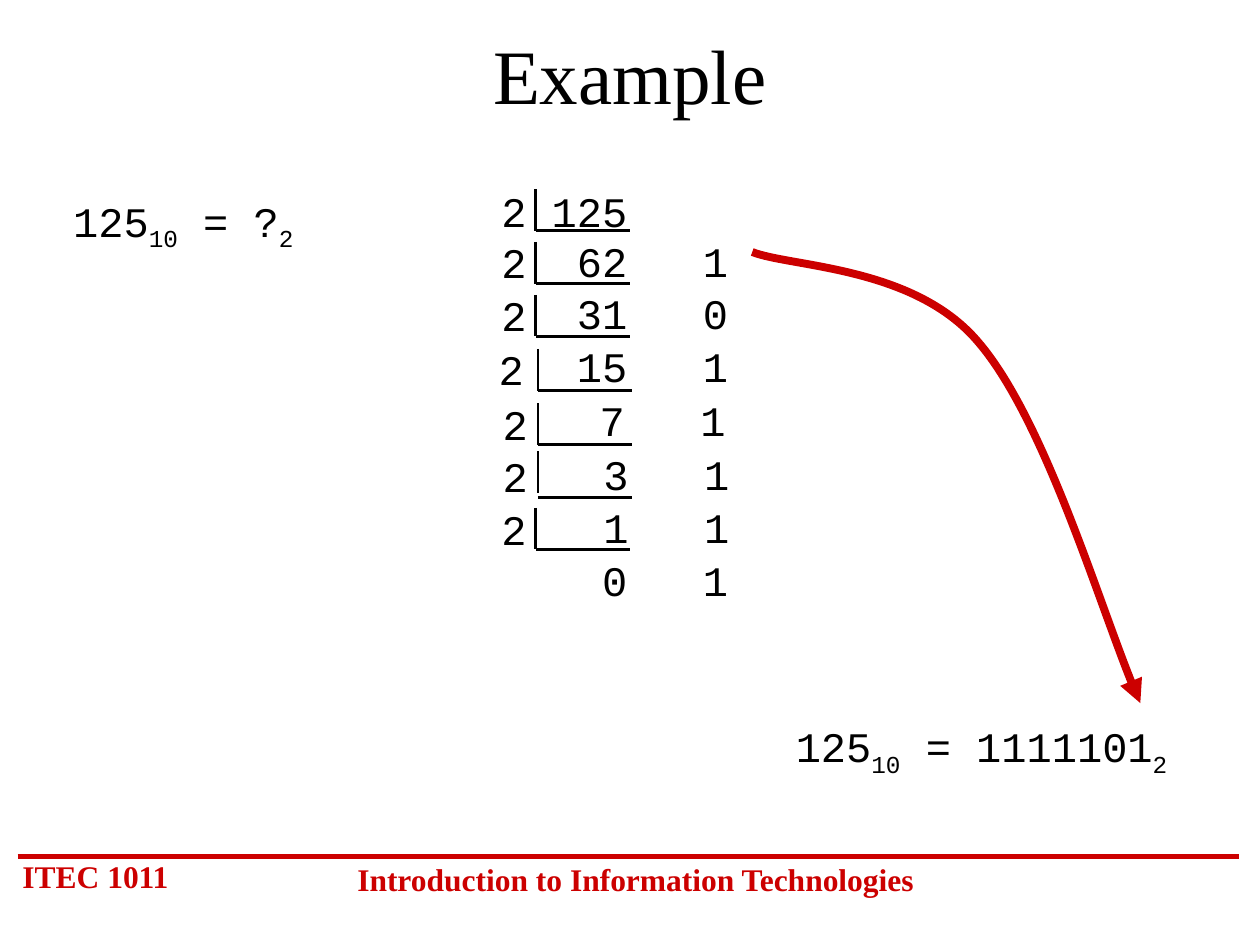
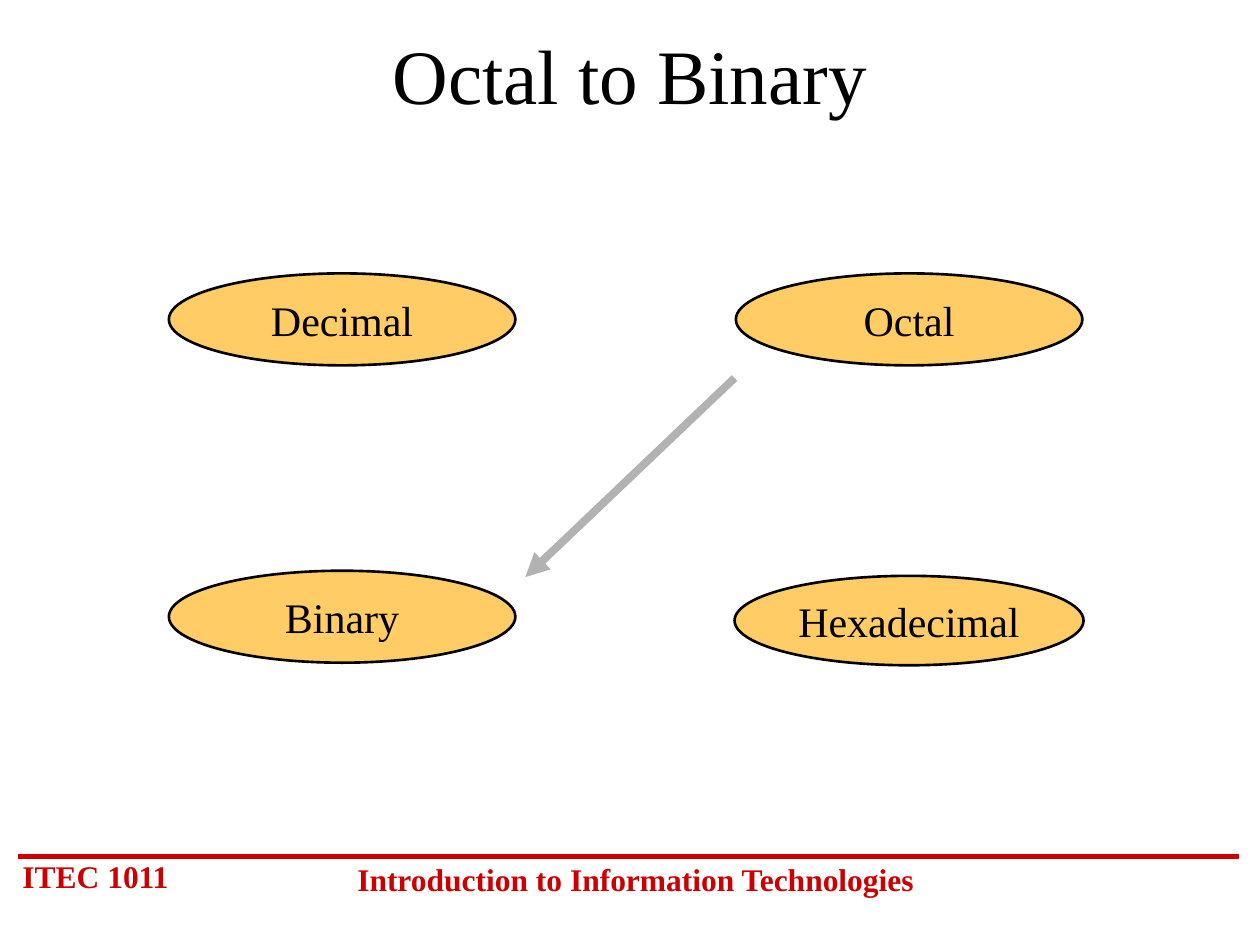
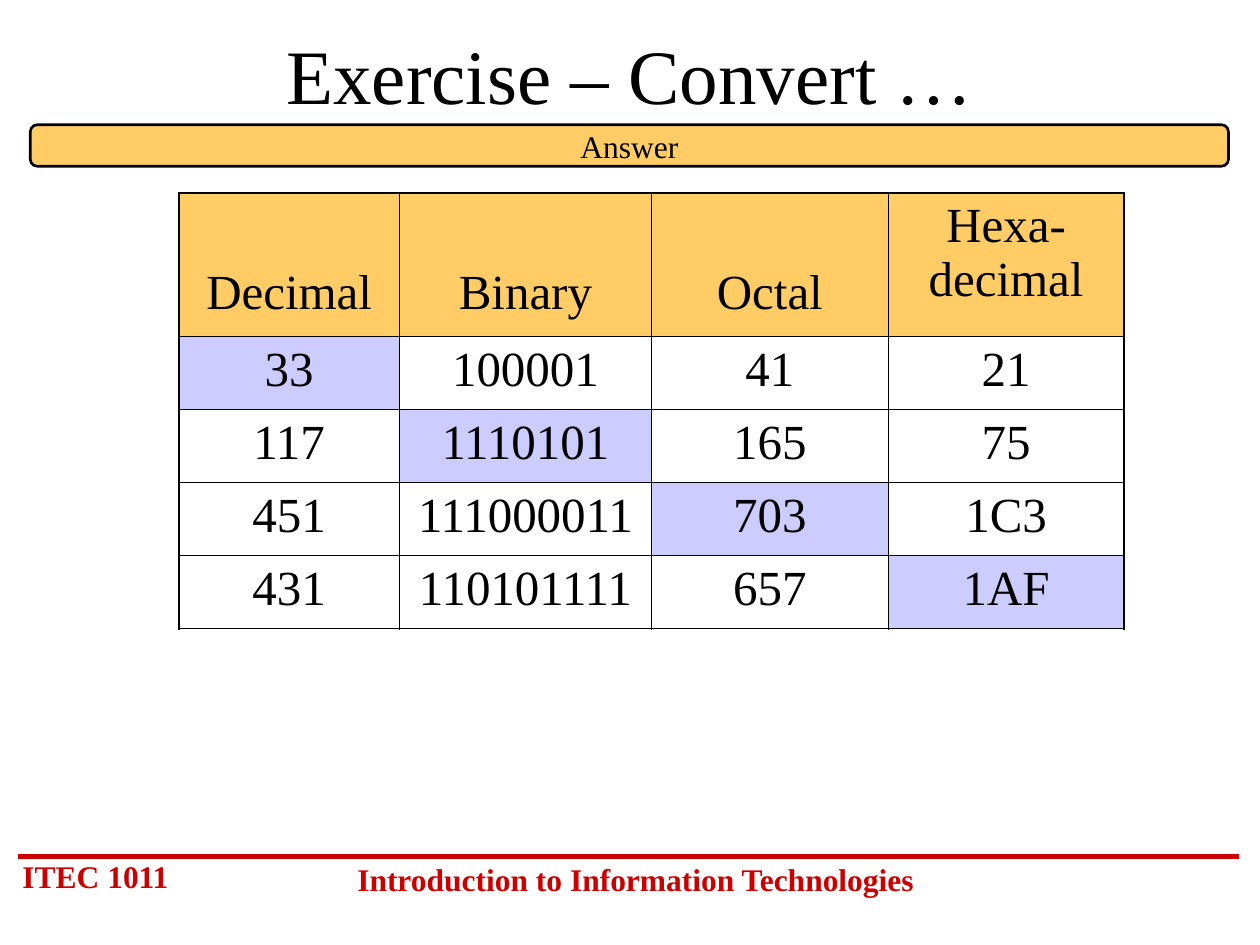
from dataclasses import dataclass

from lxml import etree
from pptx import Presentation
from pptx import util as u
from pptx.dml.color import RGBColor
from pptx.enum import shapes, text
from pptx.oxml import ns

Inches = u.Inches
COLORS = {
    "ink": "000000",
    "red": "CC0000",
    "gold": "FFCC66",
    "lilac": "CCCCFF",
    "grey": "B2B2B2",
}
SERIF, MONO = "Times New Roman", "Courier New"
LEFT, CENTER = text.PP_ALIGN.LEFT, text.PP_ALIGN.CENTER

# Font formats
TITLE = {"name": SERIF, "size": u.Pt(44)}
FOOTER = {"name": SERIF, "size": u.Pt(18), "bold": True}
BANNER = {"name": SERIF, "size": u.Pt(18)}
NODE = {"name": SERIF, "size": u.Pt(24)}
CELL = {"name": SERIF, "size": u.Pt(28)}
CODE = {"name": MONO, "size": u.Pt(24)}


@dataclass(frozen=True)
class Label:
    words: str
    left: float
    top: float
    width: float
    height: float
    align: text.PP_ALIGN = CENTER


@dataclass(frozen=True)
class Division:
    """One division by two: its bracket, and the result on the line below."""
    first_line: str
    quotient: str
    remainder: str
    left: float
    top: float
    bracket_left: float
    bar_y: float
    stem_gap: float = 0


FOOTERS = [
    Label("ITEC 1011", 0.08, 6.75, 1.5, 0.4, LEFT),
    Label("Introduction to Information Technologies", 2.67, 6.78, 4.75, 0.4),
]
# Parts between underscores are subscripts
EQUATIONS = [
    Label("125_10_ = ?_2", 0.33, 1.5, 2.25, 0.56),
    Label("125_10_ = 1111101_2", 6, 5.67, 3.58, 0.56),
]
DIVISIONS = [
    Division("2\t125", "62", "1", 3.88, 1.42, 4.25, 1.83),
    Division("2", "31", "0", 3.88, 1.83, 4.25, 2.25),
    Division("2", "15", "1", 3.88, 2.25, 4.25, 2.67),
    Division("2", "7", "1", 3.86, 2.68, 4.27, 3.1),
    Division("2", "3", "1", 3.89, 3.11, 4.27, 3.53),
    Division("2", "1", "1", 3.89, 3.53, 4.27, 3.95, 0.04),
    Division("2", "0", "1", 3.88, 3.95, 4.25, 4.36),
]
STEM, BAR = 0.33, 0.75
DIGIT_TABS = (1.0, 1.8)
CURVE = [(5.97, 2), (6.27, 2.12), (7.25, 2.11), (7.76, 2.71),
         (8.28, 3.31), (8.78, 4.98), (9.05, 5.58)]
NODES = [
    Label("Hexadecimal", 5.83, 4.57, 2.77, 0.71),
    Label("Decimal", 1.34, 2.17, 2.75, 0.73),
    Label("Octal", 5.84, 2.17, 2.75, 0.73),
    Label("Binary", 1.34, 4.53, 2.75, 0.73),
]
ANSWER = Label("Answer", 0.24, 0.99, 9.51, 0.33)
ANSWERS = [
    ["Decimal", "Binary", "Octal", "Hexa-\ndecimal"],
    ["33", "100001", "41", "21"],
    ["117", "1110101", "165", "75"],
    ["451", "111000011", "703", "1C3"],
    ["431", "110101111", "657", "1AF"],
]
COLUMN_WIDTHS = [1.75, 2, 1.88, 1.87]
ROW_HEIGHTS = [1.14] + [0.58] * 4


# Shared helpers
def rgb(color: str) -> RGBColor:
    return RGBColor.from_string(COLORS[color])


def add_run(p, words: str, style: dict, color: str = "ink"):
    r = p.add_run()
    r.text = words
    for key, value in style.items():
        setattr(r.font, key, value)
    r.font.color.rgb = rgb(color)
    return r


def write(p, words: str, style: dict, color: str = "ink",
          align=CENTER, before: float = 0) -> None:
    p.alignment = align
    p.space_before = u.Pt(before)
    for i, line in enumerate(words.split("\n")):
        if i:
            p.add_line_break()
        add_run(p, line, style, color)


def box_of(label: Label) -> list:
    return [Inches(v) for v in (label.left, label.top, label.width, label.height)]


def add_textbox(s, label: Label):
    sp = s.shapes.add_textbox(*box_of(label))
    sp.text_frame.word_wrap = True
    return sp


def add_arrowhead(sp) -> None:
    ln = sp.element.spPr.find(ns.qn("a:ln"))
    etree.SubElement(ln, ns.qn("a:tailEnd"), type="triangle")


def add_line(s, start: tuple, end: tuple, color: str, width: float):
    points = [Inches(v) for v in (*start, *end)]
    sp = s.shapes.add_connector(shapes.MSO_CONNECTOR.STRAIGHT, *points)
    sp.line.color.rgb = rgb(color)
    sp.line.width = u.Pt(width)
    etree.SubElement(sp.element.spPr, ns.qn("a:effectLst"))
    return sp


def add_gold_shape(s, kind, label: Label, style: dict, wrap: bool):
    sp = s.shapes.add_shape(kind, *box_of(label))
    sp.shadow.inherit = False
    sp.fill.solid()
    sp.fill.fore_color.rgb = rgb("gold")
    sp.line.color.rgb = rgb("ink")
    sp.line.width = u.Pt(1.5)
    tf = sp.text_frame
    tf.word_wrap = wrap
    tf.vertical_anchor = text.MSO_ANCHOR.MIDDLE
    write(tf.paragraphs[0], label.words, style)
    return sp


def add_slide(prs, title: str):
    s = prs.slides.add_slide(prs.slide_layouts[5])
    sp = s.shapes.title
    sp.left, sp.top, sp.width, sp.height = (
        Inches(v) for v in (0.75, 0.17, 8.5, 0.83))
    sp.text_frame.vertical_anchor = text.MSO_ANCHOR.MIDDLE
    write(sp.text_frame.paragraphs[0], title, TITLE)
    return s


def add_footer_to_layout(s) -> None:
    """Draw the footer once and move it to the layout all slides use."""
    parts = [add_line(s, (0.14, 6.8), (9.83, 6.8), "red", 3)]
    for label in FOOTERS:
        sp = add_textbox(s, label)
        write(sp.text_frame.paragraphs[0], label.words, FOOTER, "red",
              label.align, 11.2)
        parts.append(sp)
    for sp in parts:
        s.slide_layout.shapes.element.append(sp.element)


# Slide 1: repeated division
def add_equation(s, label: Label) -> None:
    p = add_textbox(s, label).text_frame.paragraphs[0]
    p.alignment = label.align
    p.space_before = u.Pt(15)
    for i, part in enumerate(label.words.split("_")):
        r = add_run(p, part, CODE)
        if i % 2:
            r._r.get_or_add_rPr().set("baseline", "-25000")


def add_division(s, d: Division) -> None:
    words = f"{d.first_line}\n\t{d.quotient}\t{d.remainder}"
    sp = add_textbox(s, Label(words, d.left, d.top, 2.25, 0.9))
    p = sp.text_frame.paragraphs[0]
    write(p, words, CODE, align=LEFT, before=15)
    tabs = etree.SubElement(p._p.get_or_add_pPr(), ns.qn("a:tabLst"))
    for pos in DIGIT_TABS:
        etree.SubElement(tabs, ns.qn("a:tab"), pos=str(Inches(pos)), algn="r")
    x, stem_end = d.bracket_left, d.bar_y - d.stem_gap
    add_line(s, (x, stem_end - STEM), (x, stem_end), "ink", 1.5)
    add_line(s, (x, d.bar_y), (x + BAR, d.bar_y), "ink", 1.5)


def add_curved_arrow(s) -> None:
    points = [(Inches(x), Inches(y)) for x, y in CURVE]
    builder = s.shapes.build_freeform(*points[0])
    builder.add_line_segments(points[1:], close=False)
    sp = builder.convert_to_shape()
    # Every three segments become one Bézier curve
    segments = list(sp.element.iter(ns.qn("a:lnTo")))
    for i in range(0, len(segments), 3):
        curve = etree.Element(ns.qn("a:cubicBezTo"))
        segments[i].addprevious(curve)
        for segment in segments[i:i + 3]:
            curve.append(segment[0])
            segment.getparent().remove(segment)
    sp.shadow.inherit = False
    sp.fill.background()
    sp.line.color.rgb = rgb("red")
    sp.line.width = u.Pt(4.5)
    add_arrowhead(sp)


def build_example(prs) -> None:
    s = add_slide(prs, "Example")
    add_footer_to_layout(s)
    for label in EQUATIONS:
        add_equation(s, label)
    for division in DIVISIONS:
        add_division(s, division)
    add_curved_arrow(s)


# Slide 2: conversion map
def build_octal_to_binary(prs) -> None:
    s = add_slide(prs, "Octal to Binary")
    for label in NODES:
        add_gold_shape(s, shapes.MSO_SHAPE.OVAL, label, NODE, wrap=False)
    add_arrowhead(add_line(s, (5.83, 3), (4.17, 4.58), "grey", 4.5))


# Slide 3: answer table
def set_borders(cell, outer: dict) -> None:
    tc_pr = cell._tc.get_or_add_tcPr()
    for i, (side, is_outer) in enumerate(outer.items()):
        width = u.Pt(1.08 if is_outer else 0.45)
        ln = etree.Element(ns.qn(f"a:ln{side}"), w=str(width))
        fill = etree.SubElement(ln, ns.qn("a:solidFill"))
        etree.SubElement(fill, ns.qn("a:srgbClr"), val=COLORS["ink"])
        tc_pr.insert(i, ln)


def fill_cell(cell, color: str | None) -> None:
    if color is None:
        cell.fill.background()
    else:
        cell.fill.solid()
        cell.fill.fore_color.rgb = rgb(color)


def add_answer_table(s) -> None:
    n_rows, n_cols = len(ANSWERS), len(COLUMN_WIDTHS)
    table = s.shapes.add_table(
        n_rows, n_cols, Inches(1.42), Inches(1.53),
        Inches(sum(COLUMN_WIDTHS)), Inches(sum(ROW_HEIGHTS))).table
    table.first_row = table.horz_banding = False
    for column, width in zip(table.columns, COLUMN_WIDTHS):
        column.width = Inches(width)
    for row, height in zip(table.rows, ROW_HEIGHTS):
        row.height = Inches(height)
    for i, row in enumerate(ANSWERS):
        for j, words in enumerate(row):
            cell = table.cell(i, j)
            write(cell.text_frame.paragraphs[0], words, CELL, before=7)
            if i == 0 and "\n" not in words:
                cell.vertical_anchor = text.MSO_ANCHOR.BOTTOM
                cell.margin_bottom = Inches(0.13)
            # The given number of each row lies on the diagonal
            fill_cell(cell, "gold" if i == 0 else "lilac" if i == j + 1 else None)
            set_borders(cell, {"L": j == 0, "R": j == n_cols - 1,
                               "T": i == 0, "B": i == n_rows - 1})


def build_exercise(prs) -> None:
    s = add_slide(prs, "Exercise – Convert …")
    add_answer_table(s)
    sp = add_gold_shape(s, shapes.MSO_SHAPE.ROUNDED_RECTANGLE, ANSWER, BANNER,
                        wrap=True)
    sp.adjustments[0] = 0.17
    sp.text_frame.margin_top = sp.text_frame.margin_bottom = 0


def main() -> None:
    prs = Presentation()
    prs.slide_width, prs.slide_height = Inches(10), Inches(7.5)
    build_example(prs)
    build_octal_to_binary(prs)
    build_exercise(prs)
    prs.save("out.pptx")


if __name__ == "__main__":
    main()
